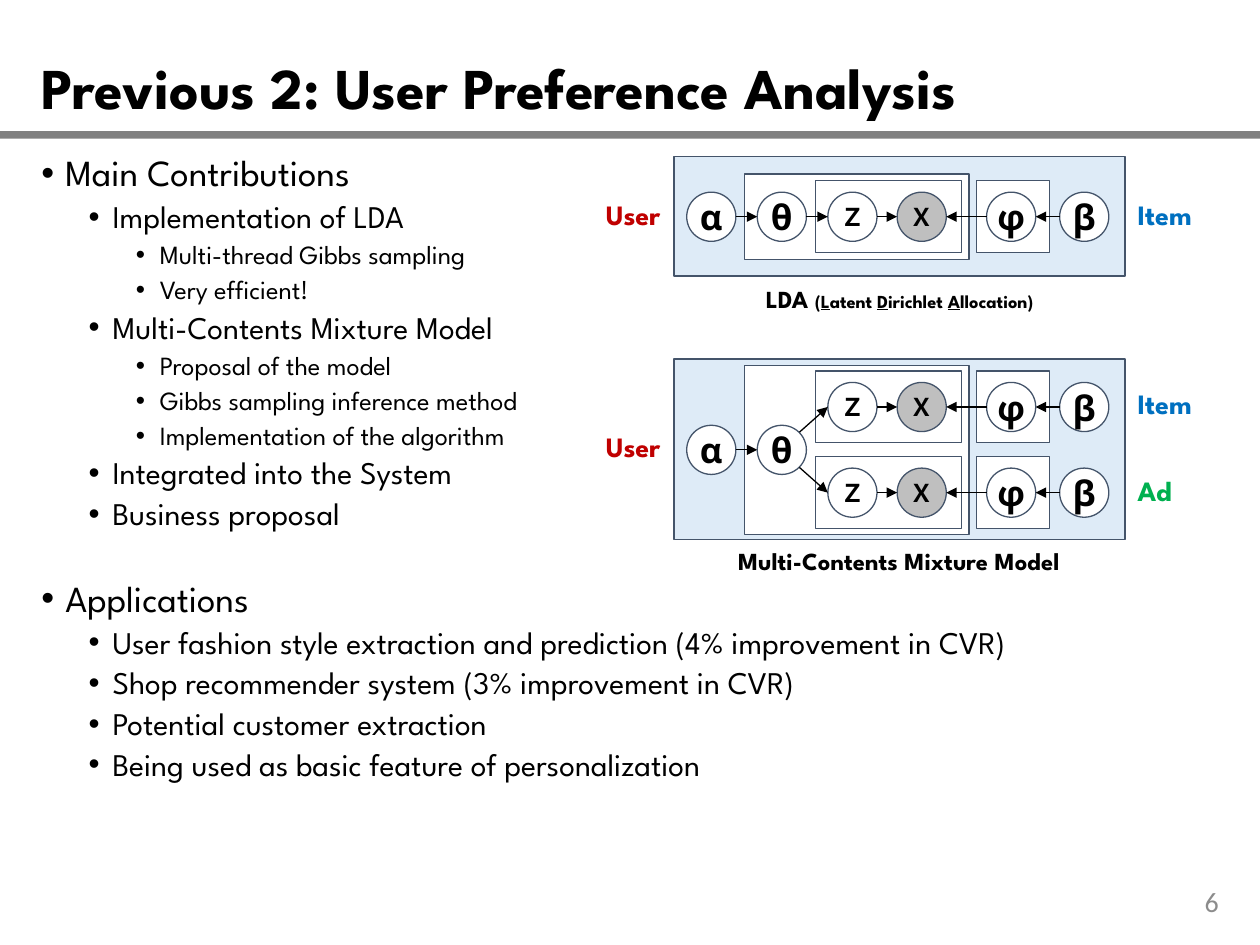
from typing import NamedTuple

from lxml import etree
from pptx import Presentation
from pptx.dml.color import RGBColor
from pptx.enum import shapes, text
from pptx.oxml import ns
from pptx.util import Inches, Pt

FONT = "League Spartan"
BLACK, WHITE, NAVY = "000000", "FFFFFF", "44546A"
PALE, OBSERVED = "DEEBF7", "BFBFBF"
RED, BLUE, GREEN = "C00000", "0070C0", "00B050"
D = 0.39  # node diameter
LEFT, CENTER, RIGHT = text.PP_ALIGN.LEFT, text.PP_ALIGN.CENTER, text.PP_ALIGN.RIGHT
RECT, OVAL = shapes.MSO_SHAPE.RECTANGLE, shapes.MSO_SHAPE.OVAL


class Bullet(NamedTuple):
    level: int
    words: str
    gap: float = 3.8


class Node(NamedTuple):
    symbol: str
    x: float
    size: float = 20
    fill: str = WHITE


class Label(NamedTuple):
    words: str
    x: float
    y: float
    w: float
    color: str = BLACK
    size: float = 16
    align: text.PP_ALIGN = LEFT
    spacing: float = 0.9


ALPHA, THETA = Node("α", 5.45), Node("θ", 6.01)
Z, X = Node("Ｚ", 6.57, 14), Node("Ｘ", 7.12, 14, OBSERVED)
PHI, BETA = Node("φ", 7.83), Node("β", 8.41)

BULLETS = [
    Bullet(0, "Main Contributions", 7.5),
    Bullet(1, "Implementation of LDA"),
    Bullet(2, "Multi-thread Gibbs sampling"),
    Bullet(2, "Very efficient!"),
    Bullet(1, "Multi-Contents Mixture Model"),
    Bullet(2, "Proposal of the model"),
    Bullet(2, "Gibbs sampling inference method"),
    Bullet(2, "Implementation of the algorithm"),
    Bullet(1, "Integrated into the System"),
    Bullet(1, "Business proposal"),
    Bullet(0, "Applications", 27.5),
    Bullet(1, "User fashion style extraction and prediction (4% improvement in CVR)"),
    Bullet(1, "Shop recommender system (3% improvement in CVR)"),
    Bullet(1, "Potential customer extraction"),
    Bullet(1, "Being used as basic feature of personalization"),
]
LABELS = [
    Label("User", 4.62, 1.55, 0.72, RED, align=RIGHT),
    Label("User", 4.62, 3.39, 0.72, RED, align=RIGHT),
    Label("Item", 8.93, 1.55, 0.68, BLUE),
    Label("Item", 8.93, 3.05, 0.68, BLUE),
    Label("Ad", 8.93, 3.74, 0.5, GREEN),
    Label("Multi-Contents Mixture Model", 5.65, 4.28, 2.97, BLACK, 14, CENTER, 1),
]


def rgb(color: str) -> RGBColor:
    return RGBColor.from_string(color)


def style(r, size: float, color: str = BLACK, bold: bool = False, font: str = FONT):
    r.font.name, r.font.size, r.font.bold = font, Pt(size), bold
    r.font.color.rgb = rgb(color)


def box(s, x: float, y: float, w: float, h: float, wrap: bool = True,
        anchor=text.MSO_ANCHOR.MIDDLE):
    tf = s.shapes.add_textbox(Inches(x), Inches(y), Inches(w), Inches(h)).text_frame
    tf.word_wrap, tf.vertical_anchor = wrap, anchor
    return tf


def shape(s, kind, x: float, y: float, w: float, h: float, fill: str, line: str = NAVY):
    sp = s.shapes.add_shape(kind, Inches(x), Inches(y), Inches(w), Inches(h))
    sp.shadow.inherit = False
    sp.fill.solid()
    sp.fill.fore_color.rgb = rgb(fill)
    if line:
        sp.line.color.rgb, sp.line.width = rgb(line), Pt(0.75)
    else:
        sp.line.fill.background()
    return sp


def node(s, n: Node, cy: float):
    tf = shape(s, OVAL, n.x, cy - D / 2, D, D, n.fill).text_frame
    tf.margin_left = tf.margin_right = tf.margin_top = tf.margin_bottom = 0
    tf.word_wrap, tf.vertical_anchor = False, text.MSO_ANCHOR.MIDDLE
    tf.text = n.symbol
    p = tf.paragraphs[0]
    p.alignment = CENTER
    style(p.runs[0], n.size, bold=True)


def arrow(s, x1: float, y1: float, x2: float, y2: float):
    c = s.shapes.add_connector(shapes.MSO_CONNECTOR.STRAIGHT,
                               Inches(x1), Inches(y1), Inches(x2), Inches(y2))
    c.line.color.rgb, c.line.width = rgb(BLACK), Pt(0.75)
    etree.SubElement(c.line._get_or_add_ln(), ns.qn("a:tailEnd"), type="triangle")
    etree.SubElement(c._element.spPr, ns.qn("a:effectLst"))


def link(s, a: Node, b: Node, cy: float):
    """Level arrow between the facing edges of two nodes."""
    if a.x < b.x:
        arrow(s, a.x + D, cy, b.x, cy)
    else:
        arrow(s, a.x, cy, b.x + D, cy)


def content_row(s, cy: float):
    """Plates and nodes for one kind of content."""
    for x, w in ((6.47, 1.16), (7.75, 0.58)):
        shape(s, RECT, x, cy - 0.285, w, 0.57, WHITE)
    for n in (Z, X, PHI, BETA):
        node(s, n, cy)
    for a, b in ((Z, X), (PHI, X), (BETA, PHI)):
        link(s, a, b, cy)


def model(s, top: float, height: float, plate_top: float, plate_h: float,
          cy: float, rows: list[float]):
    shape(s, RECT, 5.35, top, 3.58, height, PALE)
    shape(s, RECT, 5.91, plate_top, 1.78, plate_h, WHITE)
    node(s, ALPHA, cy)
    node(s, THETA, cy)
    link(s, ALPHA, THETA, cy)
    for row in rows:
        content_row(s, row)
        if row == cy:
            link(s, THETA, Z, cy)
        else:
            rise = 0.14 if row > cy else -0.14
            arrow(s, THETA.x + D / 2 + 0.14, cy + rise, Z.x, row)


def label(s, lb: Label):
    tf = box(s, lb.x, lb.y, lb.w, 0.34, wrap=False)
    tf.text = lb.words
    p = tf.paragraphs[0]
    p.alignment, p.line_spacing = lb.align, lb.spacing
    style(p.runs[0], lb.size, lb.color, True)


def bullet(p, b: Bullet):
    p.text, p.level = b.words, b.level
    p.line_spacing, p.space_before = 0.9, Pt(b.gap)
    style(p.runs[0], (21, 18, 15)[b.level])
    pPr = p._p.get_or_add_pPr()
    pPr.set("marL", str(Inches(0.19 + 0.375 * b.level)))
    pPr.set("indent", str(Inches(-0.19)))
    etree.SubElement(pPr, ns.qn("a:buFont"), typeface="Arial")
    etree.SubElement(pPr, ns.qn("a:buChar"), char="•")


def main():
    prs = Presentation()
    prs.slide_width, prs.slide_height = Inches(10), Inches(7.5)
    s = prs.slides.add_slide(prs.slide_layouts[6])

    # Title and rule
    shape(s, RECT, 0, 1.04, 10, 0.06, "808080", "")
    tf = box(s, 0.23, 0.4, 9.57, 0.64)
    tf.text = "Previous 2: User Preference Analysis"
    tf.paragraphs[0].line_spacing = 0.9
    style(tf.paragraphs[0].runs[0], 33, bold=True)

    # Bulleted text
    tf = box(s, 0.23, 1.18, 9.57, 5.57, anchor=text.MSO_ANCHOR.TOP)
    for i, b in enumerate(BULLETS):
        bullet(tf.add_paragraph() if i else tf.paragraphs[0], b)

    # Two graphical models
    model(s, 1.24, 0.95, 1.38, 0.68, 1.72, [1.72])
    model(s, 2.85, 1.43, 2.9, 1.34, 3.57, [3.23, 3.91])
    for lb in LABELS:
        label(s, lb)

    # LDA caption with underlined initials
    p = box(s, 5.83, 2.2, 2.62, 0.34, wrap=False).paragraphs[0]
    p.alignment = CENTER
    for words in ("LDA ", "(", "L", "atent ", "D", "irichlet ", "A", "llocation)"):
        r = p.add_run()
        r.text = words
        style(r, 14 if words == "LDA " else 10.5, bold=True)
        r.font.underline = words in ("L", "D", "A")

    # Page number
    tf = box(s, 7.52, 6.95, 2.25, 0.4)
    tf.text = "6"
    tf.paragraphs[0].alignment = RIGHT
    style(tf.paragraphs[0].runs[0], 16, "8C8C8C", font="Calibri")

    prs.save("out.pptx")


if __name__ == "__main__":
    main()
